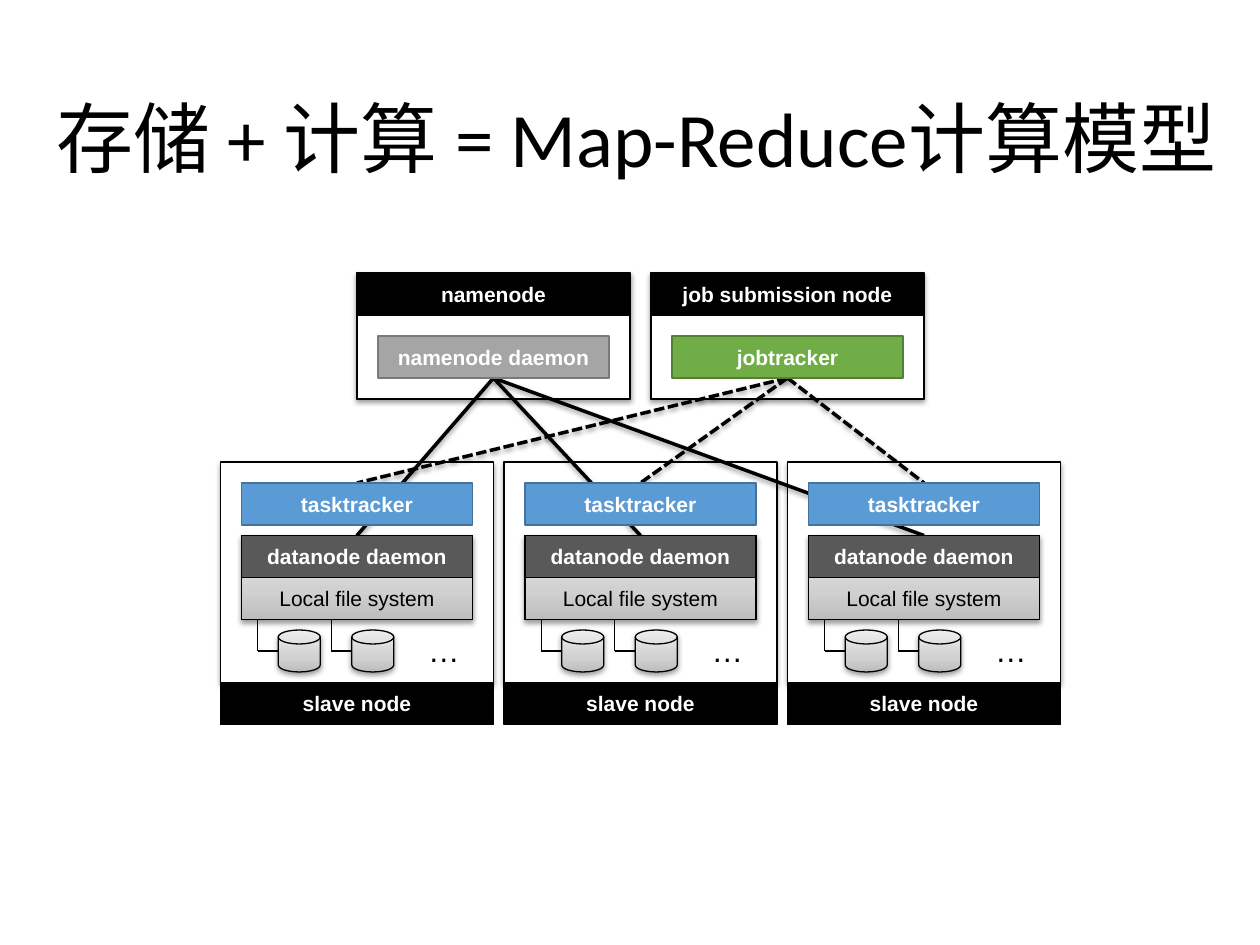
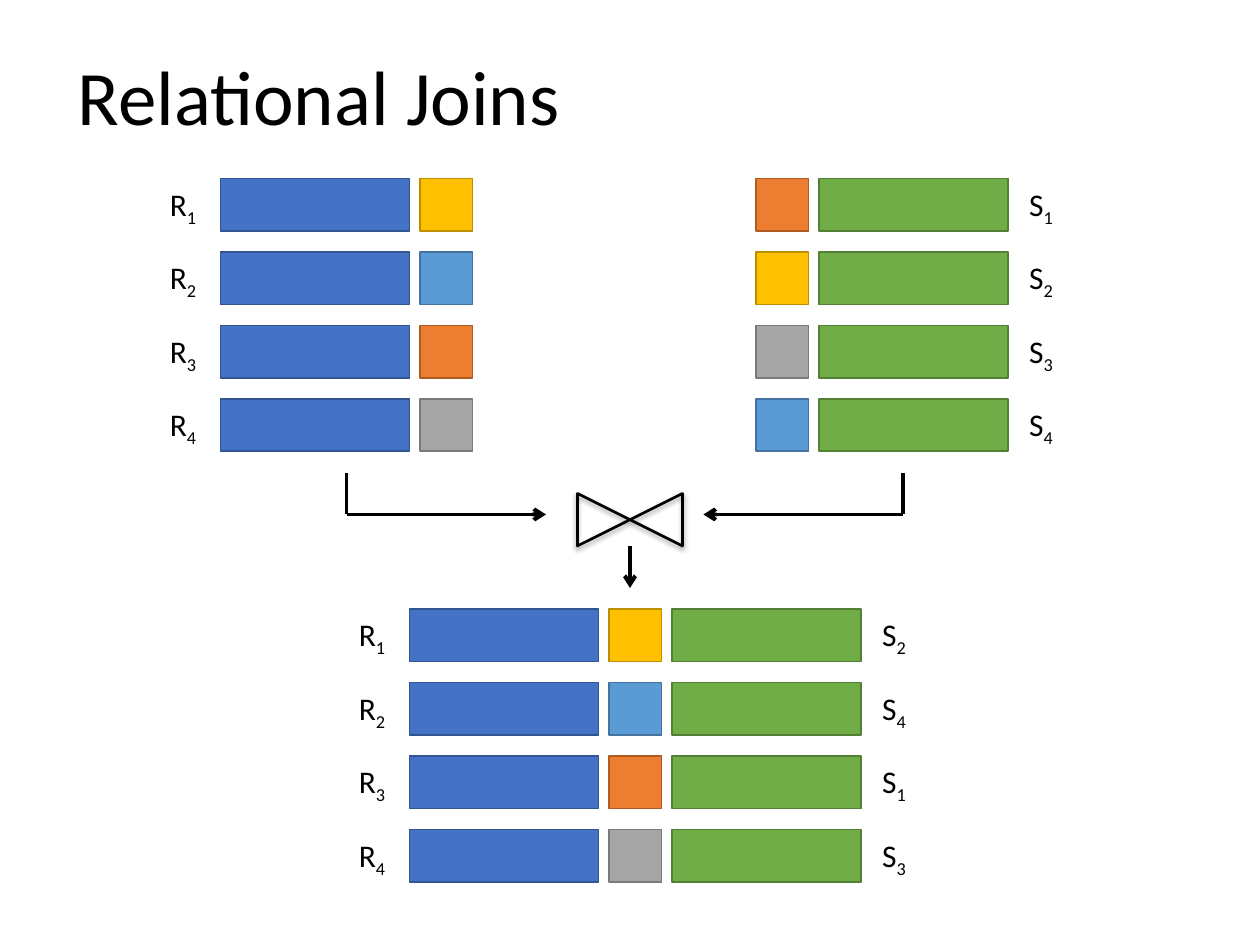
from pptx import Presentation
from pptx.dml.color import RGBColor
from pptx.enum import dml, shapes, text
from pptx.oxml import ns, parse_xml
from pptx.util import Pt

BLACK = RGBColor(0x00, 0x00, 0x00)
WHITE = RGBColor(0xFF, 0xFF, 0xFF)
CHARCOAL = RGBColor(0x59, 0x59, 0x59)
BLUE = RGBColor(0x44, 0x72, 0xC4)
SKY = RGBColor(0x5B, 0x9B, 0xD5)
GOLD = RGBColor(0xFF, 0xC0, 0x00)
ORANGE = RGBColor(0xED, 0x7D, 0x31)
GRAY = RGBColor(0xA5, 0xA5, 0xA5)
GREEN = RGBColor(0x70, 0xAD, 0x47)
SILVER_STOPS = ((0, "BDBDBD"), (35, "D1D1D1"), (100, "EEEEEE"))

OUTLINES = {
    BLUE: RGBColor(0x32, 0x54, 0x91),
    SKY: RGBColor(0x43, 0x73, 0x9E),
    GOLD: RGBColor(0xBD, 0x8E, 0x00),
    ORANGE: RGBColor(0xAF, 0x5C, 0x24),
    GRAY: RGBColor(0x7A, 0x7A, 0x7A),
    GREEN: RGBColor(0x53, 0x80, 0x35),
}

HEADING_FONT, DIAGRAM_FONT = "Calibri", "Arial"
RECT = shapes.MSO_SHAPE.RECTANGLE
DISK = shapes.MSO_SHAPE.FLOWCHART_MAGNETIC_DISK
COLLATE = shapes.MSO_SHAPE.FLOWCHART_COLLATE

NODE_W, BAND_H, INSET = 156, 24, 12
DAEMON_W = NODE_W - 2 * INSET
MASTER_H, SLAVE_H = 72, 126
SLAVE_PITCH, DISK_PITCH = 162, 42

BAR_W, ROW_H, ROW_PITCH, GAP = 108, 30, 42, 6
R_KEYS = (GOLD, SKY, ORANGE, GRAY)
S_KEYS = (ORANGE, GOLD, GRAY, SKY)


def drop_shadow(item):
    effects = item._element.spPr.find(ns.qn("a:effectLst"))
    effects.append(parse_xml(
        f'<a:outerShdw {ns.nsdecls("a")} blurRad="{Pt(3.1)}" dist="{Pt(1.6)}" '
        'dir="5400000" rotWithShape="0"><a:srgbClr val="000000">'
        '<a:alpha val="38000"/></a:srgbClr></a:outerShdw>'))


def silver_fill(item):
    stops = "".join(
        f'<a:gs pos="{pos * 1000}"><a:srgbClr val="{color}"/></a:gs>'
        for pos, color in SILVER_STOPS)
    gradient = parse_xml(
        f'<a:gradFill {ns.nsdecls("a")} rotWithShape="1"><a:gsLst>{stops}</a:gsLst>'
        '<a:lin ang="16200000" scaled="0"/></a:gradFill>')
    item._element.spPr.find(ns.qn("a:prstGeom")).addnext(gradient)


def style_run(run, size, font, color=BLACK, bold=False):
    run.font.size = Pt(size)
    run.font.name = font
    run.font.color.rgb = color
    run.font.bold = bold


def add_block(slide, x, y, w, h, fill=None, kind=RECT, weight=0.75,
              silver=False, shadow=False):
    block = slide.shapes.add_shape(kind, Pt(x), Pt(y), Pt(w), Pt(h))
    if silver:
        silver_fill(block)
    elif fill is None:
        block.fill.background()
    else:
        block.fill.solid()
        block.fill.fore_color.rgb = fill
    block.line.color.rgb = OUTLINES.get(fill, BLACK)
    block.line.width = Pt(1 if fill in OUTLINES else weight)
    block.shadow.inherit = False
    if shadow:
        drop_shadow(block)
    return block


def add_band(slide, caption, x, y, w, fill=None, color=WHITE, bold=True):
    band = add_block(slide, x, y, w, BAND_H, fill)
    frame = band.text_frame
    frame.text = caption
    frame.vertical_anchor = text.MSO_ANCHOR.MIDDLE
    frame.paragraphs[0].alignment = text.PP_ALIGN.CENTER
    style_run(frame.paragraphs[0].runs[0], 12, DIAGRAM_FONT, color, bold)


def add_link(slide, start, end, weight, dashed=False, arrow=False, shadow=False):
    link = slide.shapes.add_connector(
        shapes.MSO_CONNECTOR.STRAIGHT, *(Pt(v) for v in (*start, *end)))
    link.line.color.rgb = BLACK
    link.line.width = Pt(weight)
    if dashed:
        link.line.dash_style = dml.MSO_LINE.SQUARE_DOT
    if arrow:
        link.line._get_or_add_ln().append(
            parse_xml(f'<a:tailEnd {ns.nsdecls("a")} type="arrow"/>'))
    link._element.spPr.append(parse_xml(f'<a:effectLst {ns.nsdecls("a")}/>'))
    if shadow:
        drop_shadow(link)


def add_label(slide, x, y, w, base, font, subscript=""):
    label = slide.shapes.add_textbox(Pt(x), Pt(y), Pt(w), Pt(29))
    frame = label.text_frame
    frame.word_wrap = False
    frame.auto_size = text.MSO_AUTO_SIZE.SHAPE_TO_FIT_TEXT
    frame.text = base
    style_run(frame.paragraphs[0].runs[0], 18, font)
    if subscript:
        index = frame.paragraphs[0].add_run()
        index.text = subscript
        style_run(index, 18, font)
        index.font._element.set("baseline", "-25000")


def add_title(slide, heading, x, y, w):
    title = slide.shapes.add_textbox(Pt(x), Pt(y), Pt(w), Pt(104.4))
    frame = title.text_frame
    frame.word_wrap = True
    frame.vertical_anchor = text.MSO_ANCHOR.MIDDLE
    frame.text = heading
    frame.paragraphs[0].line_spacing = 0.9
    style_run(frame.paragraphs[0].runs[0], 44, HEADING_FONT)


def add_master_frame(slide, x, y):
    add_block(slide, x, y, NODE_W, MASTER_H, WHITE, shadow=True)
    add_block(slide, x, y + BAND_H, NODE_W, MASTER_H - BAND_H)


def add_master_content(slide, x, y, role, daemon, fill):
    add_band(slide, role, x, y, NODE_W, BLACK)
    add_band(slide, daemon, x + INSET, y + BAND_H + INSET, DAEMON_W, fill)


def add_slave_content(slide, x, y):
    left, storage = x + INSET, y + 42
    storage_end = storage + 2 * BAND_H
    add_block(slide, left, storage, DAEMON_W, 2 * BAND_H, silver=True, shadow=True)
    add_band(slide, "datanode daemon", left, storage, DAEMON_W, CHARCOAL)
    add_band(slide, "Local file system", left, storage + BAND_H, DAEMON_W,
             color=BLACK, bold=False)
    for disk_x in (x + 33, x + 33 + DISK_PITCH):
        add_block(slide, disk_x, storage_end + 6, 24, 24, kind=DISK,
                  silver=True, shadow=True)
        stem, elbow = disk_x - 11.7, storage_end + 18
        add_link(slide, (stem, storage_end), (stem, elbow), 0.75)
        add_link(slide, (stem, elbow), (disk_x, elbow), 0.75)
    add_label(slide, x + 111.6, storage_end + 3, 32.4, "…", DIAGRAM_FONT)
    add_band(slide, "tasktracker", left, y + INSET, DAEMON_W, SKY)
    add_band(slide, "slave node", x, y + SLAVE_H, NODE_W, BLACK)


def build_cluster_slide(slide):
    add_title(slide, "存储 + 计算 = Map-Reduce计算模型", 25.2, 29.5, 681)
    master_y, slave_y = 156, 264
    masters = (
        (204, "namenode", "namenode daemon", GRAY, 42, False),
        (372, "job submission node", "jobtracker", GREEN, INSET, True),
    )
    slave_xs = [126 + i * SLAVE_PITCH for i in range(3)]
    for master_x, *_ in masters:
        add_master_frame(slide, master_x, master_y)
    for slave_x in slave_xs:
        add_block(slide, slave_x, slave_y, NODE_W, SLAVE_H, WHITE, shadow=True)
    for master_x, _, _, _, target, dashed in masters:
        for slave_x in slave_xs:
            add_link(slide, (master_x + NODE_W / 2, master_y + 60),
                     (slave_x + NODE_W / 2, slave_y + target), 2, dashed, shadow=True)
    for slave_x in slave_xs:
        add_slave_content(slide, slave_x, slave_y)
    for master_x, role, daemon, fill, _, _ in masters:
        add_master_content(slide, master_x, master_y, role, daemon, fill)


def add_key(slide, x, y, key):
    add_block(slide, x, y, ROW_H, ROW_H, key)


def add_r_bar(slide, x, y, number):
    add_block(slide, x, y, BAR_W, ROW_H, BLUE)
    add_label(slide, x - 36, y, 30, "R", HEADING_FONT, str(number))


def add_s_bar(slide, x, y, number):
    add_block(slide, x, y, BAR_W, ROW_H, GREEN)
    add_label(slide, x + BAR_W + 5, y, 28.8, "S", HEADING_FONT, str(number))


def add_r_relation(slide, x, y):
    for i, key in enumerate(R_KEYS):
        add_r_bar(slide, x, y + i * ROW_PITCH, i + 1)
        add_key(slide, x + BAR_W + GAP, y + i * ROW_PITCH, key)


def add_s_relation(slide, x, y):
    for i, key in enumerate(S_KEYS):
        add_key(slide, x, y + i * ROW_PITCH, key)
        add_s_bar(slide, x + ROW_H + GAP, y + i * ROW_PITCH, i + 1)


def add_joined_relation(slide, x, y):
    add_r_relation(slide, x, y)
    for i, key in enumerate(R_KEYS):
        add_s_bar(slide, x + BAR_W + ROW_H + 2 * GAP, y + i * ROW_PITCH,
                  S_KEYS.index(key) + 1)


def add_join_operator(slide, center, y):
    bowtie = add_block(slide, center - 15, y - 3, 30, 60, kind=COLLATE,
                       weight=1.5, shadow=True)
    bowtie.rotation = 90
    for source_x, tip_x in ((198, center - 48), (516, center + 42)):
        add_link(slide, (source_x, y + 24), (tip_x, y + 24), 2.25, arrow=True)
        add_link(slide, (source_x, y + 24), (source_x, y), 2.25)
    add_link(slide, (center, y + 42), (center, y + 66), 2.25, arrow=True)


def build_join_slide(slide):
    add_title(slide, "Relational Joins", 37.4, 5, 620.6)
    add_join_operator(slide, 360, 270)
    add_r_relation(slide, 126, 102)
    add_s_relation(slide, 432, 102)
    add_joined_relation(slide, 234, 348)


def main():
    deck = Presentation()
    deck.slide_width, deck.slide_height = Pt(720), Pt(540)
    for build in (build_cluster_slide, build_join_slide):
        build(deck.slides.add_slide(deck.slide_layouts[6]))
    deck.save("out.pptx")


if __name__ == "__main__":
    main()
